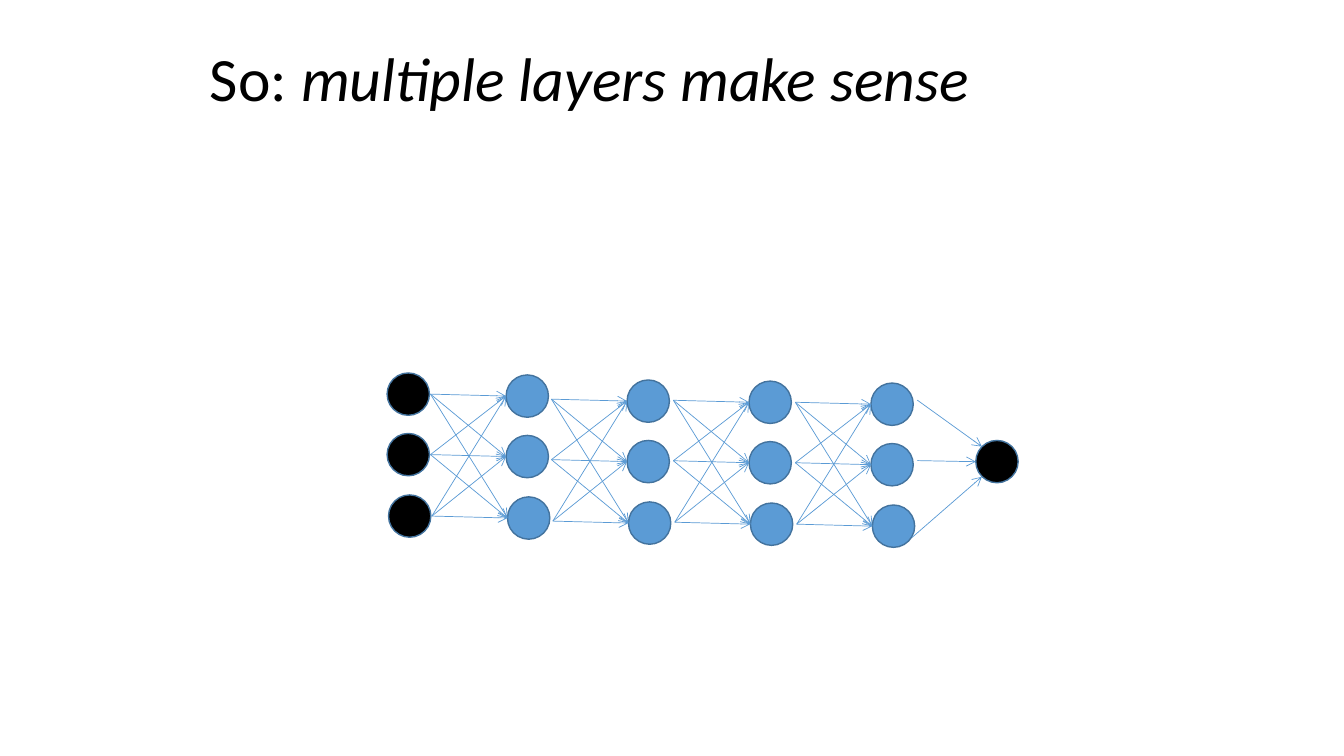
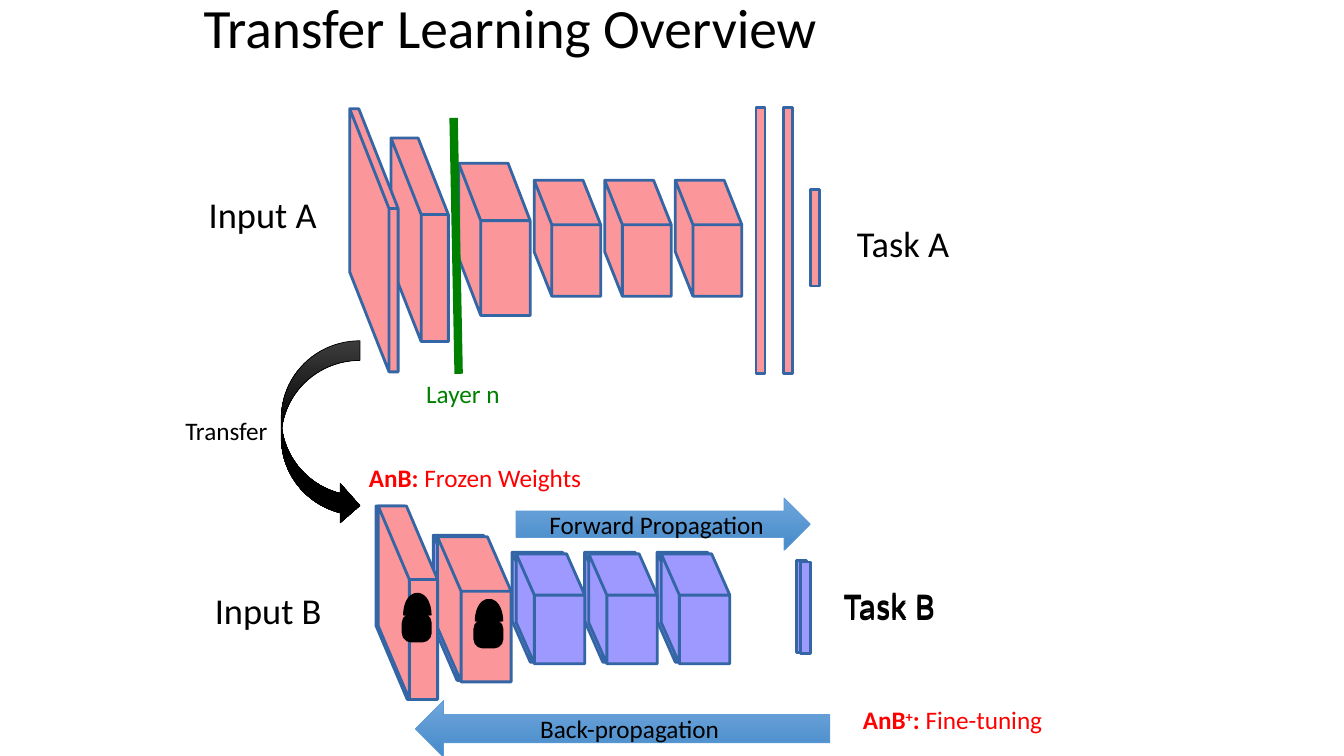
from collections import namedtuple
from math import cos, pi, sin

from lxml.etree import SubElement
from pptx import Presentation
from pptx.dml.color import RGBColor
from pptx.enum.shapes import MSO_CONNECTOR, MSO_SHAPE as Preset
from pptx.enum.text import MSO_ANCHOR as Anchor, MSO_AUTO_SIZE, PP_ALIGN as Align
from pptx.oxml.ns import qn
from pptx.util import Pt

COLORS = {
    "black": "000000", "red": "FF0000", "green": "008000",
    "node": "5B9BD5", "node_edge": "43739E", "block_edge": "3465A4",
    "pink": "FB979A", "violet": "9D99FE",
    "arrow_light": "71A6DB", "arrow_dark": "448ACA", "charcoal": "4B4B4B",
}
FONT = "Calibri"
NODE = 30.24

Box = namedtuple("Box", "left top width height")
Prism = namedtuple("Prism", "left top width height depth drop")

NET_A_PRISMS = [
    Prism(0, 0.7, 34.6, 187.9, 28.1, 71.3),
    Prism(29.5, 21.6, 41, 145.4, 21.6, 54.7),
    Prism(77.8, 39.6, 51.1, 108.7, 15.8, 41),
] + [Prism(131.8 + 50.4 * i, 51.8, 47.5, 82.8, 12.6, 31.7) for i in range(3)]
NET_A_BARS = [Box(290.2, 0, 6.5, 190), Box(309.6, 0, 6.5, 190), Box(329, 58.3, 6.5, 69.1)]
NET_B_PRISMS = [
    Prism(0, 0, 42.5, 138.2, 22.3, 52.6),
    Prism(41, 20.9, 52.6, 103.7, 16.9, 38.9),
] + [Prism(97.2 + 51.8 * i, 33.1, 49, 78.5, 13, 29.5) for i in range(3)]
NET_B_BARS = [Box(300.2, 38.9, 7.2, 65.5)]


def rgb(name):
    """Return the named colour."""
    return RGBColor.from_string(COLORS[name])


def points(box):
    """Return the box as four lengths."""
    return [Pt(value) for value in box]


def paint(shape, fill, edge, width):
    """Give a shape a flat fill, an outline and no shadow."""
    shape.shadow.inherit = False
    if fill:
        shape.fill.solid()
        shape.fill.fore_color.rgb = rgb(fill)
    else:
        shape.fill.background()
    shape.line.color.rgb = rgb(edge)
    shape.line.width = Pt(width)
    return shape


def shade(shape, start, end, end_position):
    """Fill a shape with a gradient running downwards."""
    shape.fill.gradient()
    shape.fill.gradient_angle = 270
    stops = zip(shape.fill.gradient_stops, (start, end), (0, end_position))
    for stop, color, position in stops:
        stop.color.rgb = rgb(color)
        stop.position = position


def write(shape, pieces, size, color="black", align=Align.LEFT, anchor=Anchor.MIDDLE):
    """Write one paragraph from (text, style) pieces."""
    frame = shape.text_frame
    frame.word_wrap = True
    frame.auto_size = MSO_AUTO_SIZE.NONE
    frame.vertical_anchor = anchor
    para = frame.paragraphs[0]
    para.alignment = align
    for text, style in pieces:
        span = para.add_run()
        span.text = text
        font = span.font
        font.name, font.size = FONT, Pt(size)
        font.color.rgb = rgb(color)
        font.bold = "bold" in style
        font.italic = "italic" in style
        if "super" in style:
            span._r.get_or_add_rPr().set("baseline", "30000")
    return para


def add_title(slide, box, pieces, size):
    """Place and fill the title placeholder."""
    title = slide.shapes.title
    title.left, title.top, title.width, title.height = points(box)
    write(title, pieces, size).line_spacing = 0.9


def add_label(slide, box, pieces, color="black"):
    """Add an 18 point caption."""
    write(slide.shapes.add_textbox(*points(box)), pieces, 18, color, anchor=Anchor.TOP)


def add_heading(slide, box, text):
    """Add a 26 point input or task name with narrow margins."""
    heading = slide.shapes.add_textbox(*points(box))
    write(heading, [(text, "")], 26)
    frame = heading.text_frame
    frame.margin_left = frame.margin_right = Pt(2.2)
    frame.margin_top = frame.margin_bottom = Pt(2.2)


def add_line(slide, start, end, color, width, arrow=False):
    """Draw a straight line, with an open arrowhead if asked."""
    line = slide.shapes.add_connector(MSO_CONNECTOR.STRAIGHT, *points(start + end))
    line.line.color.rgb = rgb(color)
    line.line.width = Pt(width)
    properties = line._element.spPr
    if arrow:
        SubElement(line.line._get_or_add_ln(), qn("a:tailEnd"), type="arrow")
    SubElement(properties, qn("a:effectLst"))


def add_outline(slide, corners, closed):
    """Build a freeform through the corners."""
    path = [(Pt(x), Pt(y)) for x, y in corners]
    builder = slide.shapes.build_freeform(*path[0], scale=1.0)
    builder.add_line_segments(path[1:], close=closed)
    return builder.convert_to_shape()


def add_node(slide, left, top, fill):
    """Draw one neuron."""
    node = slide.shapes.add_shape(Preset.OVAL, *points((left, top, NODE, NODE)))
    paint(node, fill, "node_edge", 1)


def add_neurons(slide, left, top):
    """Draw the layered network from its top left corner."""
    columns = [(0, 0), (85, 1.4), (171.4, 5), (258.5, 5.8), (345.6, 7.2)]
    rows = [(0, 0), (0, 43.2), (1, 87.1)]
    for index, (column_x, column_y) in enumerate(columns):
        spots = [(left + column_x + x, top + column_y + y) for x, y in rows]
        for spot in spots:
            add_node(slide, *spot, "node" if index else "black")
        if index:
            targets = [(x, y + NODE / 2) for x, y in spots]
            for x, y in targets:
                for target in targets:
                    add_line(slide, (x - 54, y - 1.4), target, "node", 0.5, True)
    add_node(slide, left + 420.5, top + 48.2, "black")
    for x1, y1, x2, y2 in [(378.7, 19.4, 424.8, 52.6), (378.7, 62.6, 420.5, 63.4),
                           (375.1, 117.4, 424.8, 74.2)]:
        add_line(slide, (left + x1, top + y1), (left + x2, top + y2), "node", 0.5, True)


def add_prism(slide, left, top, prism, fill):
    """Draw a slanted block showing its side, top and front."""
    x, y = left + prism.left, top + prism.top
    near, right = x + prism.depth, x + prism.width
    fold, bottom = y + prism.drop, y + prism.height
    corner, back = (near, fold), (x, y)
    corners = [corner, (near, bottom), (x, bottom - prism.drop), back, corner, back,
               (right - prism.depth, y), (right, fold), corner, (right, fold),
               (right, bottom), (near, bottom), corner]
    paint(add_outline(slide, corners, True), fill, "block_edge", 2)


def add_blocks(slide, left, top, prisms, bars, fills, bar_fill):
    """Draw a convolutional network, rightmost block first."""
    for prism, fill in reversed(list(zip(prisms, fills))):
        add_prism(slide, left, top, prism, fill)
    for bar in bars:
        place = (left + bar.left, top + bar.top, bar.width, bar.height)
        paint(slide.shapes.add_shape(Preset.RECTANGLE, *points(place)), bar_fill, "block_edge", 2)


def add_padlock(slide, left, top):
    """Draw a padlock marking a frozen layer."""
    body = slide.shapes.add_shape(Preset.ROUNDED_RECTANGLE, *points((left, top + 10.8, 19.4, 18.7)))
    body.adjustments[0] = 0.31
    paint(body, "black", "black", 2)
    arc = [(left + 10.1 - 5.2 * cos(pi * i / 12), top + 11.5 - 11.5 * sin(pi * i / 12))
           for i in range(13)]
    paint(add_outline(slide, arc, False), None, "black", 10)


def add_flow(slide, preset, box, text):
    """Draw a block arrow with its caption."""
    arrow = slide.shapes.add_shape(preset, *points(box))
    paint(arrow, "node", "node", 0.5)
    shade(arrow, "arrow_light", "arrow_dark", 1)
    write(arrow, [(text, "")], 18, align=Align.CENTER)


def add_task_a(slide, left, top):
    """Draw the source network, its labels and the cut at layer n."""
    add_blocks(slide, left, top, NET_A_PRISMS, NET_A_BARS, ["pink"] * 6, "pink")
    add_heading(slide, (left + 360, top + 78.5, 85, 35.3), "Task A")
    add_heading(slide, (left - 103, top + 58.3, 90, 35.3), "Input A")
    add_line(slide, (left + 74.2, top + 7.2), (left + 77.8, top + 190), "green", 6)
    add_label(slide, (left + 47.5, top + 190, 71.3, 28.8), [("Layer n", "")], "green")


def add_task_b(slide, left, top):
    """Draw the target network with frozen and fine-tuned layers."""
    first, *others = NET_B_PRISMS
    front = [first._replace(left=-1.4, top=-1.1)] + others
    layers = [(NET_B_PRISMS, 0, 0, "violet"), (front, 2.9, 1.1, "pink")]
    for prisms, shift_x, shift_y, frozen in layers:
        fills = [frozen] * 2 + ["violet"] * 3
        add_blocks(slide, left + shift_x, top + shift_y, prisms, NET_B_BARS, fills, "violet")
        add_heading(slide, (left + 331.9, top + 52.6 + shift_y, 71.3, 35.3), "Task B")
    add_heading(slide, (left - 117.4, top + 56.9, 90, 35.3), "Input B")
    for x, y in [(70.6, 71.3), (19.4, 67)]:
        add_padlock(slide, left + x, top + y)
    add_label(slide, (left - 12.2, top - 34.6, 190, 28.8),
              [("AnB: ", "bold"), ("Frozen Weights", "")], "red")
    add_label(slide, (left + 340.6, top + 138.2, 149.8, 28.8),
              [("AnB", "bold"), ("+", "bold super"), (": ", "bold"), ("Fine-tuning", "")], "red")
    add_flow(slide, Preset.LEFT_ARROW, (left + 28.1, top + 139, 295.9, 40.3), "Back-propagation")
    add_flow(slide, Preset.RIGHT_ARROW, (left + 100, top - 5.7, 210.2, 37.4), "Forward Propagation")


def add_transfer(slide, left, top):
    """Draw the curved arrow from the source to the target network."""
    arrow = slide.shapes.add_shape(Preset.CURVED_RIGHT_ARROW, *points((left, top, 56.2, 131.8)))
    paint(arrow, "black", "black", 0.5)
    shade(arrow, "charcoal", "black", 0.5)
    add_label(slide, (left - 75.6, top + 49.7, 74.9, 28.8), [("Transfer", "")])


def build_layers_slide(slide):
    """Build the slide on stacked layers."""
    add_title(slide, (142.6, 13, 612, 90),
              [("So: ", ""), ("multiple layers make sense", "italic")], 44)
    add_neurons(slide, 276.5, 266.4)


def build_transfer_slide(slide):
    """Build the transfer learning slide."""
    add_title(slide, (138.2, 0, 648, 43.9), [("Transfer Learning Overview", "")], 39.6)
    add_task_b(slide, 268.6, 361.4)
    add_task_a(slide, 249.8, 77)
    add_transfer(slide, 200.9, 243.4)


def main():
    """Build and save the deck."""
    deck = Presentation()
    deck.slide_width, deck.slide_height = Pt(960), Pt(540)
    for build in (build_layers_slide, build_transfer_slide):
        build(deck.slides.add_slide(deck.slide_layouts[5]))
    deck.save("out.pptx")


if __name__ == "__main__":
    main()
